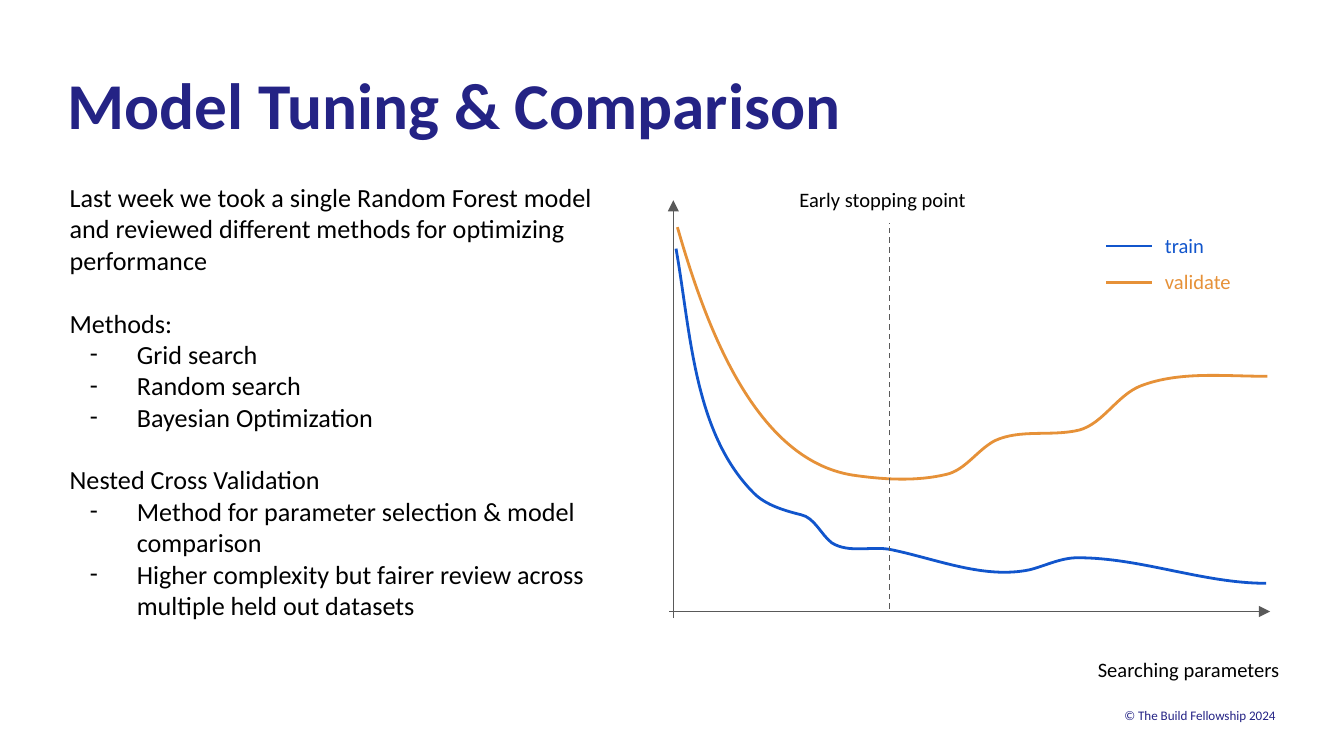
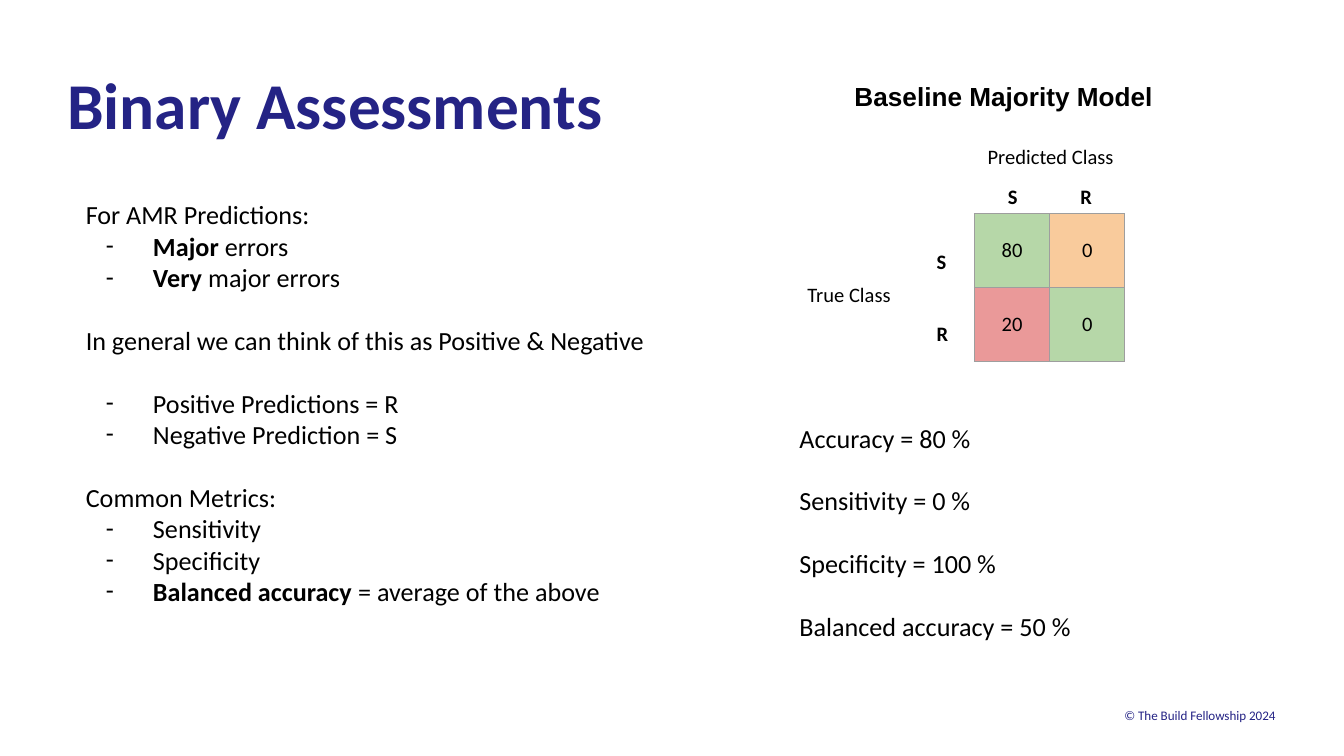
from dataclasses import dataclass

from lxml import etree
from pptx import Presentation
from pptx.dml.color import RGBColor
from pptx.enum.dml import MSO_LINE
from pptx.enum.shapes import MSO_CONNECTOR
from pptx.enum.text import MSO_ANCHOR, MSO_AUTO_SIZE, PP_ALIGN
from pptx.oxml.ns import qn
from pptx.util import Inches, Pt

STRAIGHT = MSO_CONNECTOR.STRAIGHT
DASH = MSO_LINE.DASH
TOP, MIDDLE = MSO_ANCHOR.TOP, MSO_ANCHOR.MIDDLE
LEFT, CENTER, RIGHT = PP_ALIGN.LEFT, PP_ALIGN.CENTER, PP_ALIGN.RIGHT
NO_AUTOFIT = MSO_AUTO_SIZE.NONE

FONT = "Calibri"
NAVY, BLACK, GRAY = "242385", "000000", "595959"
BLUE, ORANGE = "1155CC", "E69138"
GREEN, PEACH, RED, BORDER = "B6D7A8", "F9CB9C", "EA9999", "9E9E9E"
BODY_SIZE, LABEL_SIZE = 14, 11
BLANK_LINE = 16.8

TRAIN_CURVE = [
    (5.03, 1.85),
    (5.14, 2.47), (5.16, 3.22), (5.61, 3.67),
    (5.7, 3.76), (5.84, 3.8), (5.96, 3.83),
    (6.06, 3.85), (6.11, 3.98), (6.19, 4.04),
    (6.32, 4.12), (6.49, 4.06), (6.63, 4.09),
    (6.97, 4.16), (7.32, 4.31), (7.66, 4.24),
    (7.78, 4.21), (7.89, 4.15), (8.02, 4.15),
    (8.49, 4.15), (8.95, 4.34), (9.42, 4.34),
]
VALIDATE_CURVE = [
    (5.04, 1.69),
    (5.25, 2.42), (5.62, 3.45), (6.38, 3.54),
    (6.6, 3.57), (6.83, 3.58), (7.04, 3.53),
    (7.18, 3.5), (7.27, 3.35), (7.4, 3.28),
    (7.59, 3.19), (7.82, 3.25), (8.03, 3.2),
    (8.21, 3.15), (8.31, 2.94), (8.49, 2.87),
    (8.78, 2.76), (9.11, 2.8), (9.43, 2.8),
]


@dataclass
class Line:
    text: str
    bullet: bool = False
    bold: str = ""
    gap: bool = False


def color(value):
    return RGBColor.from_string(value)


def style_font(font, size, hue=BLACK, bold=False, name=FONT):
    font.name = name
    font.size = Pt(size)
    font.bold = bold
    font.color.rgb = color(hue)


def set_frame(frame, inset, anchor):
    frame.word_wrap = True
    frame.auto_size = NO_AUTOFIT
    frame.vertical_anchor = anchor
    frame.margin_left = frame.margin_right = Inches(inset)
    frame.margin_top = frame.margin_bottom = Inches(inset)


def add_box(page, left, top, width, height, inset=0.1, anchor=TOP):
    box = page.shapes.add_textbox(
        Inches(left), Inches(top), Inches(width), Inches(height))
    set_frame(box.text_frame, inset, anchor)
    return box.text_frame


def add_label(page, text, left, top, width, height, size=LABEL_SIZE,
              hue=BLACK, bold=False, name=FONT, align=LEFT, **frame_options):
    frame = add_box(page, left, top, width, height, **frame_options)
    frame.text = text
    para = frame.paragraphs[0]
    para.alignment = align
    style_font(para.runs[0].font, size, hue, bold, name)


def add_dash_bullet(para):
    props = para._p.get_or_add_pPr()
    props.set("marL", str(Inches(0.5)))
    props.set("indent", str(Inches(-0.35)))
    tint = etree.SubElement(props, qn("a:buClr"))
    etree.SubElement(tint, qn("a:srgbClr"), val=BLACK)
    etree.SubElement(props, qn("a:buFont"), typeface=FONT)
    etree.SubElement(props, qn("a:buChar"), char="-")


def add_body(page, lines, left, top, width, height):
    frame = add_box(page, left, top, width, height)
    for index, line in enumerate(lines):
        para = frame.add_paragraph() if index else frame.paragraphs[0]
        if line.bullet:
            add_dash_bullet(para)
        if line.gap:
            para.space_before = Pt(BLANK_LINE)
        for text, bold in ((line.bold, True), (line.text, False)):
            if text:
                span = para.add_run()
                span.text = text
                style_font(span.font, BODY_SIZE, bold=bold)


def add_line(page, start, end, hue=GRAY, width=0.75, dashed=False, arrow=False):
    points = [Inches(value) for value in (*start, *end)]
    line = page.shapes.add_connector(STRAIGHT, *points)
    line.line.color.rgb = color(hue)
    line.line.width = Pt(width)
    if dashed:
        line.line.dash_style = DASH
    if arrow:
        etree.SubElement(line.line._get_or_add_ln(), qn("a:tailEnd"), type="triangle")
    etree.SubElement(line._element.spPr, qn("a:effectLst"))


def add_curve(page, points, hue):
    start, *controls = [(Inches(x), Inches(y)) for x, y in points]
    builder = page.shapes.build_freeform(*start)
    builder.add_line_segments(controls, close=False)
    curve = builder.convert_to_shape()
    curve.shadow.inherit = False
    curve.fill.background()
    curve.line.color.rgb = color(hue)
    curve.line.width = Pt(1.5)
    outline = next(curve._element.iter(qn("a:path")))
    steps = outline.findall(qn("a:lnTo"))
    for first in range(0, len(steps), 3):
        bend = etree.SubElement(outline, qn("a:cubicBezTo"))
        for step in steps[first:first + 3]:
            bend.append(step[0])
            outline.remove(step)


def add_borders(cell):
    props = cell._tc.get_or_add_tcPr()
    for side in ("lnL", "lnR", "lnT", "lnB"):
        edge = etree.SubElement(props, qn(f"a:{side}"), w=str(Pt(0.75)))
        fill = etree.SubElement(edge, qn("a:solidFill"))
        etree.SubElement(fill, qn("a:srgbClr"), val=BORDER)


def add_confusion_matrix(page, rows, left, top, cell_width, cell_height):
    height, width = len(rows), len(rows[0])
    table = page.shapes.add_table(
        height, width, Inches(left), Inches(top),
        Inches(cell_width * width), Inches(cell_height * height)).table
    table.first_row = table.horz_banding = False
    for row_index, row in enumerate(rows):
        for column_index, (value, hue) in enumerate(row):
            cell = table.cell(row_index, column_index)
            add_borders(cell)
            cell.fill.solid()
            cell.fill.fore_color.rgb = color(hue)
            cell.vertical_anchor = MIDDLE
            cell.margin_left = cell.margin_right = Inches(0.1)
            cell.margin_top = cell.margin_bottom = Inches(0.1)
            cell.text_frame.text = value
            para = cell.text_frame.paragraphs[0]
            para.alignment = CENTER
            style_font(para.runs[0].font, LABEL_SIZE)


def add_page(deck, title, width, height):
    page = deck.slides.add_slide(deck.slide_layouts[5])
    heading = page.shapes.title
    heading.left, heading.top = Inches(0.5), Inches(0.48)
    heading.width, heading.height = Inches(width), Inches(height)
    set_frame(heading.text_frame, 0, TOP)
    heading.text_frame.text = title
    para = heading.text_frame.paragraphs[0]
    para.alignment = LEFT
    style_font(para.runs[0].font, 35, NAVY, True)
    add_label(page, "© The Build Fellowship 2024", 0.5, 5.24, 8.99, 0.16,
              size=7, hue=NAVY, align=RIGHT, inset=0, anchor=MIDDLE)
    return page


def build_tuning_page(deck):
    page = add_page(deck, "Model Tuning & Comparison", 7.92, 0.7)
    add_body(page, [
        Line("Last week we took a single Random Forest model and reviewed "
             "different methods for optimizing performance"),
        Line("Methods:", gap=True),
        Line("Grid search", bullet=True),
        Line("Random search", bullet=True),
        Line("Bayesian Optimization", bullet=True),
        Line("Nested Cross Validation", gap=True),
        Line("Method for parameter selection & model comparison", bullet=True),
        Line("Higher complexity but fairer review across multiple held out "
             "datasets", bullet=True),
    ], 0.42, 1.25, 4.24, 3.75)
    add_label(page, "Searching parameters", 8.07, 4.79, 1.7, 0.22)
    add_line(page, (5.01, 4.6), (5.01, 1.49), arrow=True)
    add_line(page, (4.98, 4.55), (9.45, 4.55), arrow=True)
    add_curve(page, TRAIN_CURVE, BLUE)
    add_curve(page, VALIDATE_CURVE, ORANGE)
    for name, hue, y in (("validate", ORANGE, 2.1), ("train", BLUE, 1.83)):
        add_line(page, (8.23, y), (8.57, y), hue, 1.5)
        add_label(page, name, 8.57, y - 0.17, 1.23, 0.33, hue=hue, anchor=MIDDLE)
    add_line(page, (6.62, 4.53), (6.62, 1.66), dashed=True)
    add_label(page, "Early stopping point", 5.85, 1.29, 1.93, 0.35)


def build_assessment_page(deck):
    page = add_page(deck, "Binary Assessments", 7.28, 1.15)
    add_body(page, [
        Line("For AMR Predictions:"),
        Line(" errors", bullet=True, bold="Major"),
        Line(" major errors", bullet=True, bold="Very"),
        Line("In general we can think of this as Positive & Negative", gap=True),
        Line("Positive Predictions = R", bullet=True, gap=True),
        Line("Negative Prediction = S", bullet=True),
        Line("Common Metrics:", gap=True),
        Line("Sensitivity", bullet=True),
        Line("Specificity", bullet=True),
        Line(" = average of the above", bullet=True, bold="Balanced accuracy"),
    ], 0.54, 1.38, 4.87, 3.56)
    add_confusion_matrix(page, [
        [("80", GREEN), ("0", PEACH)],
        [("20", RED), ("0", GREEN)],
    ], 7.25, 1.59, 0.56, 0.55)
    add_label(page, "Predicted Class", 7.25, 0.97, 2.13, 0.54)
    add_label(page, "True Class", 5.91, 2, 0.96, 0.54)
    for index, name in enumerate("SR"):
        offset = 0.54 * index
        add_label(page, name, 7.4 + offset, 1.27, 0.32, 0.25, bold=True)
        add_label(page, name, 6.87, 1.75 + offset, 0.32, 0.25, bold=True)
    add_label(page, "Baseline Majority Model", 6.26, 0.5, 3.04, 0.4,
              size=BODY_SIZE, bold=True, name="Arial")
    results = ("Accuracy = 80 %", "Sensitivity = 0 %",
               "Specificity = 100 %", "Balanced accuracy = 50 %")
    add_body(page, [Line(text, gap=index > 0) for index, text in enumerate(results)],
             5.85, 3.04, 3.76, 1.97)


def main():
    deck = Presentation()
    deck.slide_width = Inches(10)
    deck.slide_height = deck.slide_width * 9 // 16
    build_tuning_page(deck)
    build_assessment_page(deck)
    deck.save("out.pptx")


if __name__ == "__main__":
    main()
